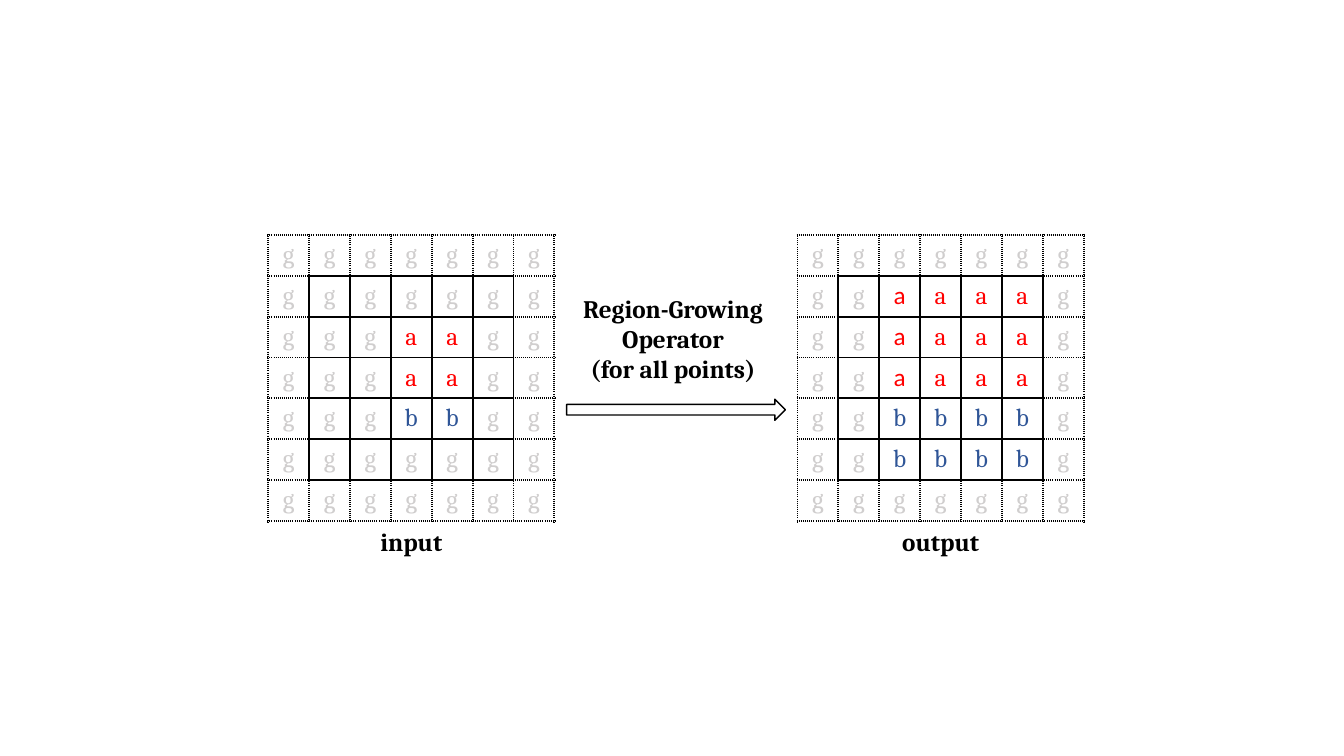
from lxml import etree
from pptx import Presentation
from pptx.dml.color import RGBColor
from pptx.enum import shapes, text
from pptx.oxml import ns
from pptx.util import Inches, Pt

BLACK = RGBColor(0x00, 0x00, 0x00)
WHITE = RGBColor(0xFF, 0xFF, 0xFF)
GRAY = RGBColor(0xD0, 0xCE, 0xCE)
RED = RGBColor(0xFF, 0x00, 0x00)
BLUE = RGBColor(0x2F, 0x55, 0x97)

# Grid code: letter shown, colour, font
MARKS = {
    "g": ("g", GRAY, "Cambria"),
    "a": ("a", RED, "Cambria"),
    "A": ("a", RED, "Calibri"),
    "b": ("b", BLUE, "Cambria"),
}
INPUT = ["ggggggg", "ggggggg", "gggaagg", "gggaagg", "gggbbgg", "ggggggg", "ggggggg"]
OUTPUT = ["ggggggg", "ggAaaag", "ggAaaag", "ggAaaag", "ggbbbbg", "ggbbbbg", "ggggggg"]
SIDES = {"lnL": (0, -1), "lnR": (0, 1), "lnT": (-1, 0), "lnB": (1, 0)}


def write(frame, words, color=BLACK, font="Cambria", size=18, bold=False):
    """Fill a text frame with centred lines."""
    for i, line in enumerate(words.split("\n")):
        para = frame.paragraphs[0] if i == 0 else frame.add_paragraph()
        para.alignment = text.PP_ALIGN.CENTER
        run = para.add_run()
        run.text = line
        run.font.name = font
        run.font.size = Pt(size)
        run.font.bold = bold
        run.font.color.rgb = color


def label(slide, words, left, top, width, height):
    box = slide.shapes.add_textbox(
        Inches(left), Inches(top), Inches(width), Inches(height))
    box.text_frame.word_wrap = True
    write(box.text_frame, words, bold=True)


def border(cell, row, col, count):
    """Draw solid sides around inner cells and dotted sides elsewhere."""
    def inner(r, c):
        return 0 < r < count - 1 and 0 < c < count - 1

    props = cell._tc.get_or_add_tcPr()
    for side, (down, right) in SIDES.items():
        solid = inner(row, col) or inner(row + down, col + right)
        line = etree.SubElement(props, ns.qn("a:" + side), w=str(Pt(1.5)))
        fill = etree.SubElement(line, ns.qn("a:solidFill"))
        etree.SubElement(fill, ns.qn("a:srgbClr"), val=str(BLACK))
        etree.SubElement(line, ns.qn("a:prstDash"),
                         val="solid" if solid else "sysDot")


def grid(slide, rows, title, left, top, size):
    """Place a square letter grid with its caption below."""
    count = len(rows)
    table = slide.shapes.add_table(
        count, count, Inches(left), Inches(top), Inches(size), Inches(size)).table
    table.first_row = table.horz_banding = False
    for r, codes in enumerate(rows):
        table.rows[r].height = table.columns[r].width = Inches(size / count)
        for c, code in enumerate(codes):
            cell = table.cell(r, c)
            border(cell, r, c, count)
            cell.fill.background()
            cell.vertical_anchor = text.MSO_ANCHOR.MIDDLE
            letter, color, font = MARKS[code]
            write(cell.text_frame, letter, color, font)
    label(slide, title, left, top + size, size, 0.4)


def step(slide, left, top, width):
    """Place the operator name above its arrow."""
    label(slide, "Region-Growing\nOperator\n(for all points)",
          left, top, width - 0.06, 1.01)
    arrow = slide.shapes.add_shape(
        shapes.MSO_SHAPE.RIGHT_ARROW,
        Inches(left), Inches(top + 1.1), Inches(width), Inches(0.21))
    arrow.shadow.inherit = False
    arrow.fill.solid()
    arrow.fill.fore_color.rgb = WHITE
    arrow.line.color.rgb = BLACK
    arrow.line.width = Pt(1)


def main():
    deck = Presentation()
    deck.slide_width, deck.slide_height = Inches(13.33), Inches(7.5)
    slide = deck.slides.add_slide(deck.slide_layouts[6])
    grid(slide, INPUT, "input", 2.66, 2.33, 2.84)
    grid(slide, OUTPUT, "output", 7.91, 2.33, 2.84)
    step(slide, 5.62, 2.86, 2.17)
    deck.save("out.pptx")


if __name__ == "__main__":
    main()
